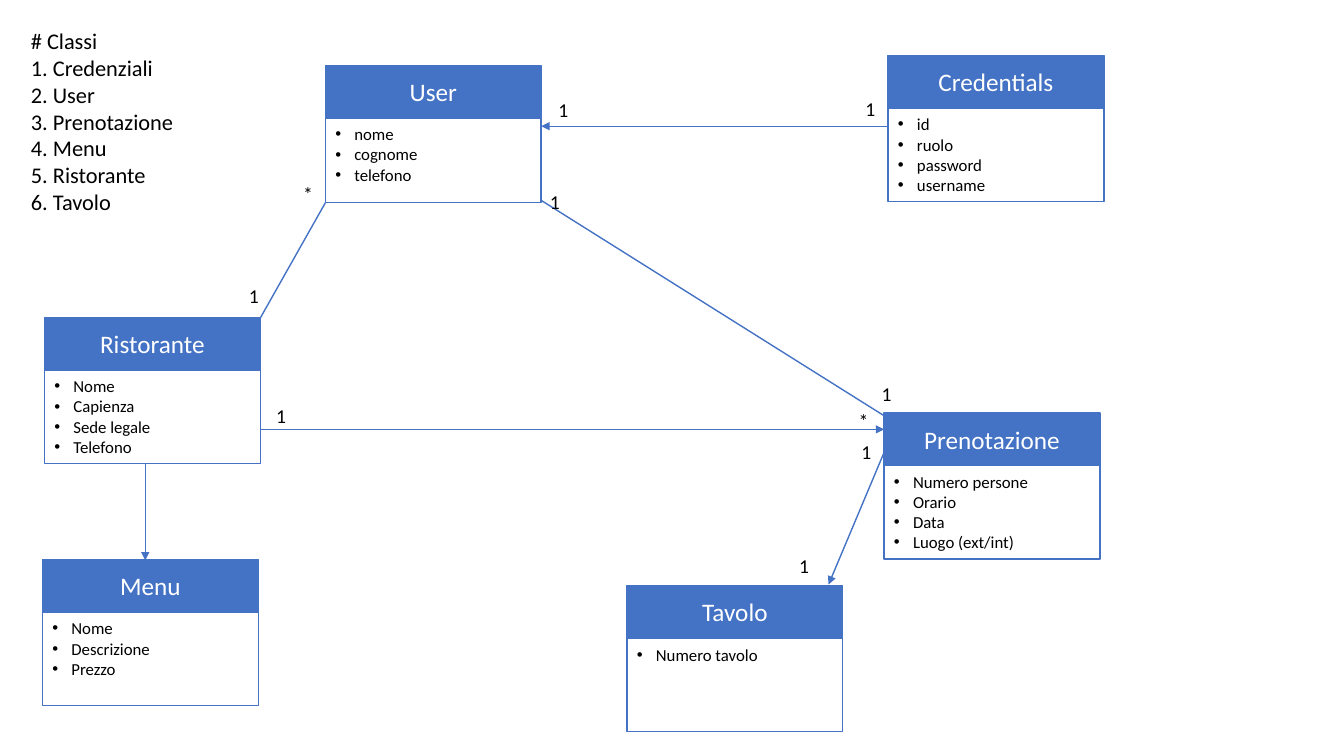
from lxml.etree import SubElement
from pptx import Presentation
from pptx.dml.color import RGBColor
from pptx.enum.shapes import MSO_CONNECTOR, MSO_SHAPE
from pptx.enum.text import MSO_ANCHOR, PP_ALIGN
from pptx.oxml.ns import qn
from pptx.util import Cm, Pt

BLUE, BLACK, WHITE = "4472C4", "000000", "FFFFFF"
FONT = "Calibri"
CLASS_WIDTH, HEADER_HEIGHT = 5.44, 1.32
LABEL_WIDTH, LABEL_HEIGHT = 1.98, 0.86
BULLET_INDENT = 0.48

SUMMARY = [
    "# Classi", "1. Credenziali", "2. User", "3. Prenotazione",
    "4. Menu", "5. Ristorante", "6. Tavolo",
]

CLASSES = [
    ("User", 8.2, 1.65, 2.13, ["nome", "cognome", "telefono"]),
    ("Credentials", 22.38, 1.4, 2.36, ["id", "ruolo", "password", "username"]),
    ("Prenotazione", 22.28, 10.41, 2.36,
     ["Numero persone", "Orario", "Data", "Luogo (ext/int)"]),
    ("Menu", 1.07, 14.1, 2.36, ["Nome", "Descrizione", "Prezzo"]),
    ("Ristorante", 1.12, 8, 2.36, ["Nome", "Capienza", "Sede legale", "Telefono"]),
    ("Tavolo", 15.8, 14.76, 2.36, ["Numero tavolo"]),
]

RELATIONS = [
    ((22.38, 3.18), (13.64, 3.18), True),
    ((6.55, 8.03), (8.2, 5.11), False),
    ((22.28, 11.4), (20.88, 14.73), True),
    ((6.55, 10.82), (22.28, 10.82), True),
    ((22.43, 10.57), (13.64, 5.05), False),
    ((3.66, 11.66), (3.66, 14.12), True),
]

MULTIPLICITIES = [
    ("1", 13.82, 2.34), ("1", 21.56, 2.31), ("*", 7.39, 4.47),
    ("1", 6.02, 7.04), ("1", 19.89, 13.84), ("1", 21.46, 10.95),
    ("1", 6.71, 10.06), ("1", 21.97, 9.5), ("1", 13.61, 4.65),
    ("*", 21.39, 10.19),
]


def color(value):
    return RGBColor.from_string(value)


def write_lines(shape, lines, size, ink=BLACK):
    frame = shape.text_frame
    frame.word_wrap = True
    for index, line in enumerate(lines):
        para = frame.add_paragraph() if index else frame.paragraphs[0]
        span = para.add_run()
        span.text = line
        span.font.name = FONT
        span.font.size = Pt(size)
        span.font.color.rgb = color(ink)
    return frame


def add_text(slide, lines, left, top, width, height, size):
    box = slide.shapes.add_textbox(Cm(left), Cm(top), Cm(width), Cm(height))
    return write_lines(box, lines, size)


def add_rectangle(slide, left, top, height):
    box = slide.shapes.add_shape(
        MSO_SHAPE.RECTANGLE, Cm(left), Cm(top), Cm(CLASS_WIDTH), Cm(height))
    box.shadow.inherit = False
    box.fill.background()
    box.line.color.rgb = color(BLUE)
    box.line.width = Pt(1)
    return box


def add_bullet(para):
    properties = para._p.get_or_add_pPr()
    properties.set("marL", str(Cm(BULLET_INDENT)))
    properties.set("indent", str(-Cm(BULLET_INDENT)))
    SubElement(properties, qn("a:buFont"), typeface="Arial")
    SubElement(properties, qn("a:buChar"), char="•")


def add_class(slide, name, left, top, body_height, attributes):
    body_top = top + HEADER_HEIGHT
    add_rectangle(slide, left, body_top, body_height)
    header = add_rectangle(slide, left, top, HEADER_HEIGHT)
    header.fill.solid()
    header.fill.fore_color.rgb = color(BLUE)
    frame = write_lines(header, [name], 18, WHITE)
    frame.vertical_anchor = MSO_ANCHOR.MIDDLE
    frame.paragraphs[0].alignment = PP_ALIGN.CENTER
    frame = add_text(
        slide, attributes, left, body_top + 0.03, CLASS_WIDTH, body_height, 12)
    for para in frame.paragraphs:
        add_bullet(para)


def add_relation(slide, start, end, has_arrow):
    link = slide.shapes.add_connector(
        MSO_CONNECTOR.STRAIGHT, *map(Cm, start + end))
    link.line.color.rgb = color(BLUE)
    link.line.width = Pt(1)
    if has_arrow:
        SubElement(link.line._get_or_add_ln(), qn("a:tailEnd"), type="triangle")
    SubElement(link._element.spPr, qn("a:effectLst"))


def main():
    deck = Presentation()
    deck.slide_width, deck.slide_height = Cm(33.87), Cm(19.05)
    slide = deck.slides.add_slide(deck.slide_layouts[6])
    add_text(slide, SUMMARY, 0.53, 0.56, 6.48, 5.05, 16)
    for item in CLASSES:
        add_class(slide, *item)
    for relation in RELATIONS:
        add_relation(slide, *relation)
    for symbol, left, top in MULTIPLICITIES:
        add_text(slide, [symbol], left, top, LABEL_WIDTH, LABEL_HEIGHT, 14)
    deck.save("out.pptx")


if __name__ == "__main__":
    main()
